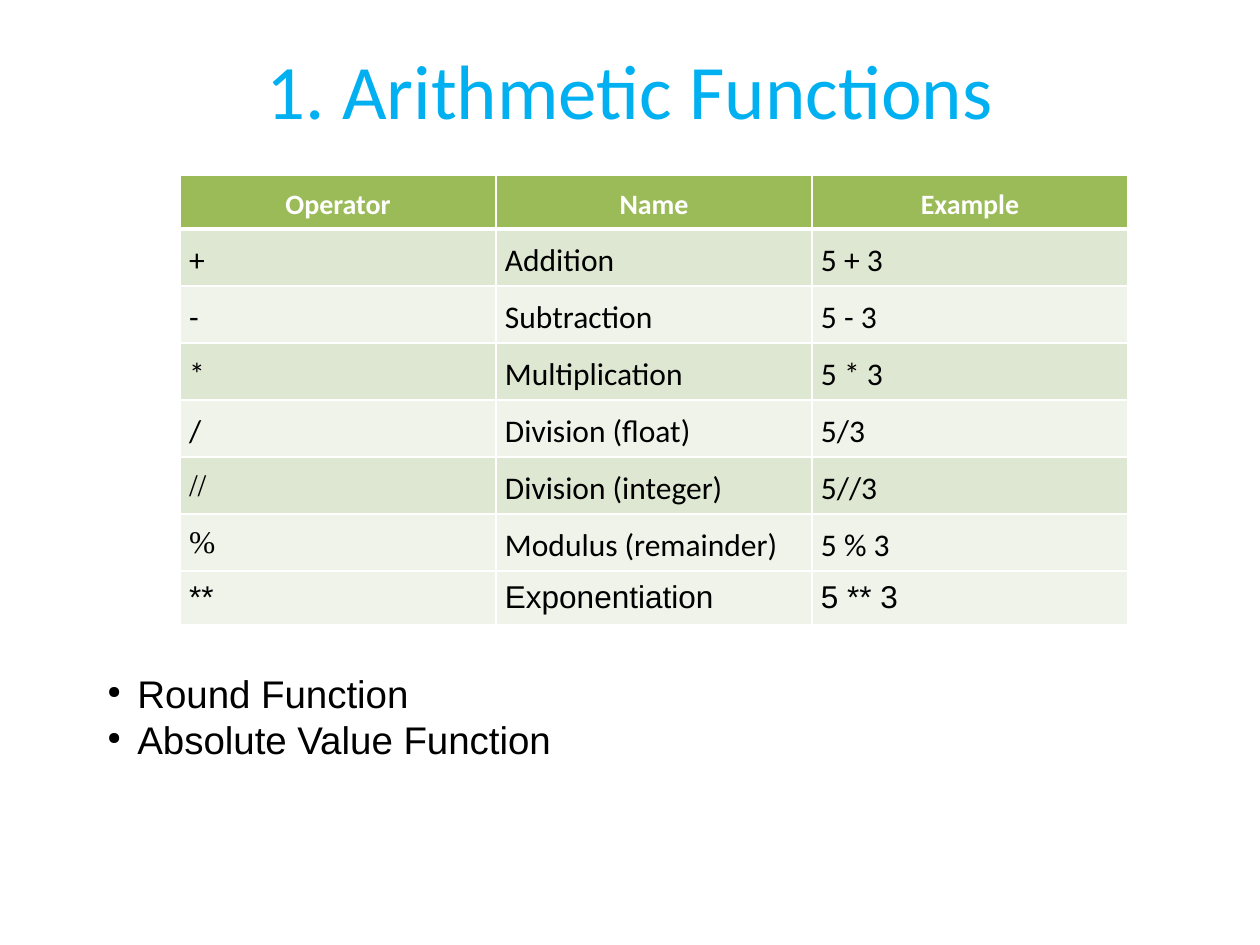
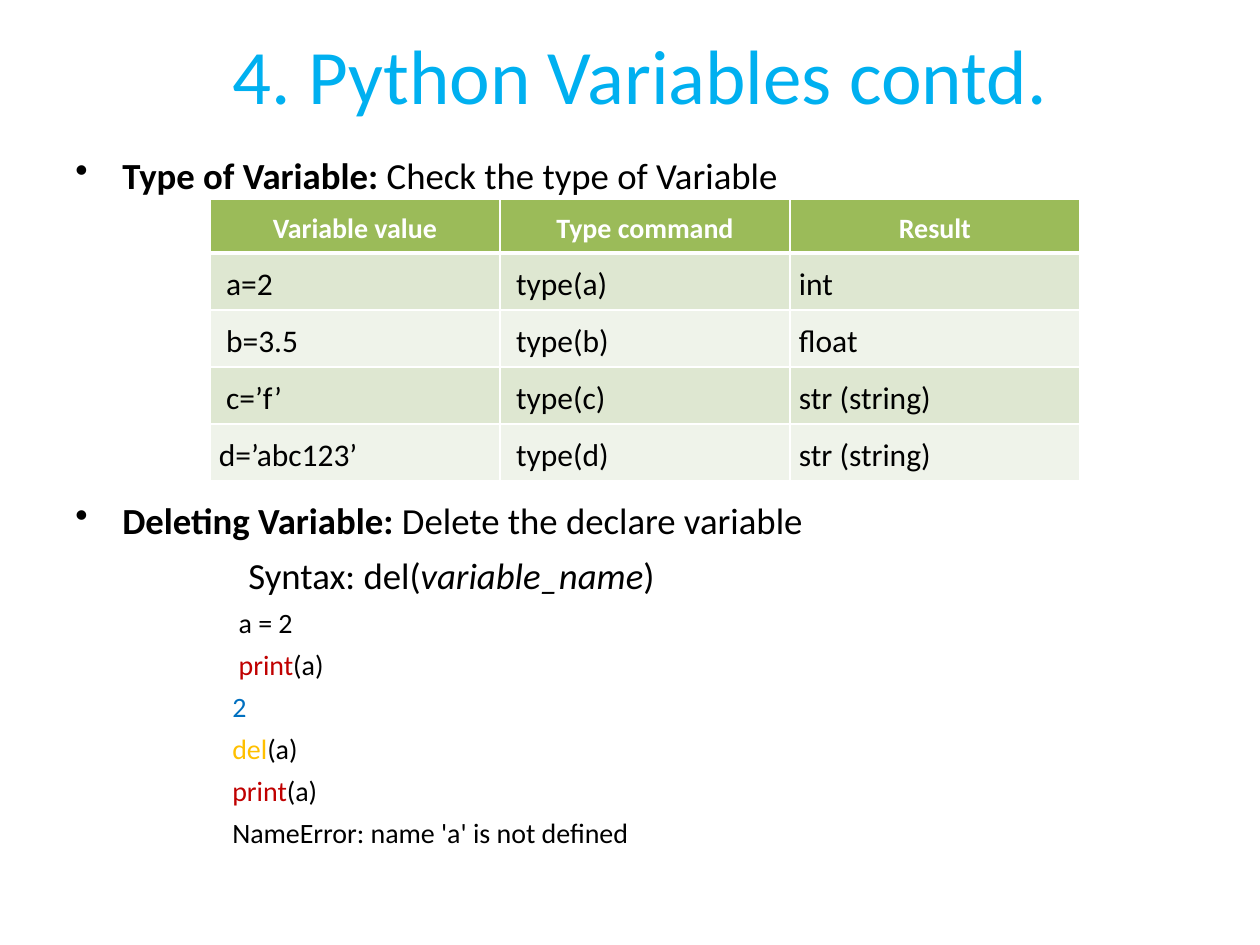
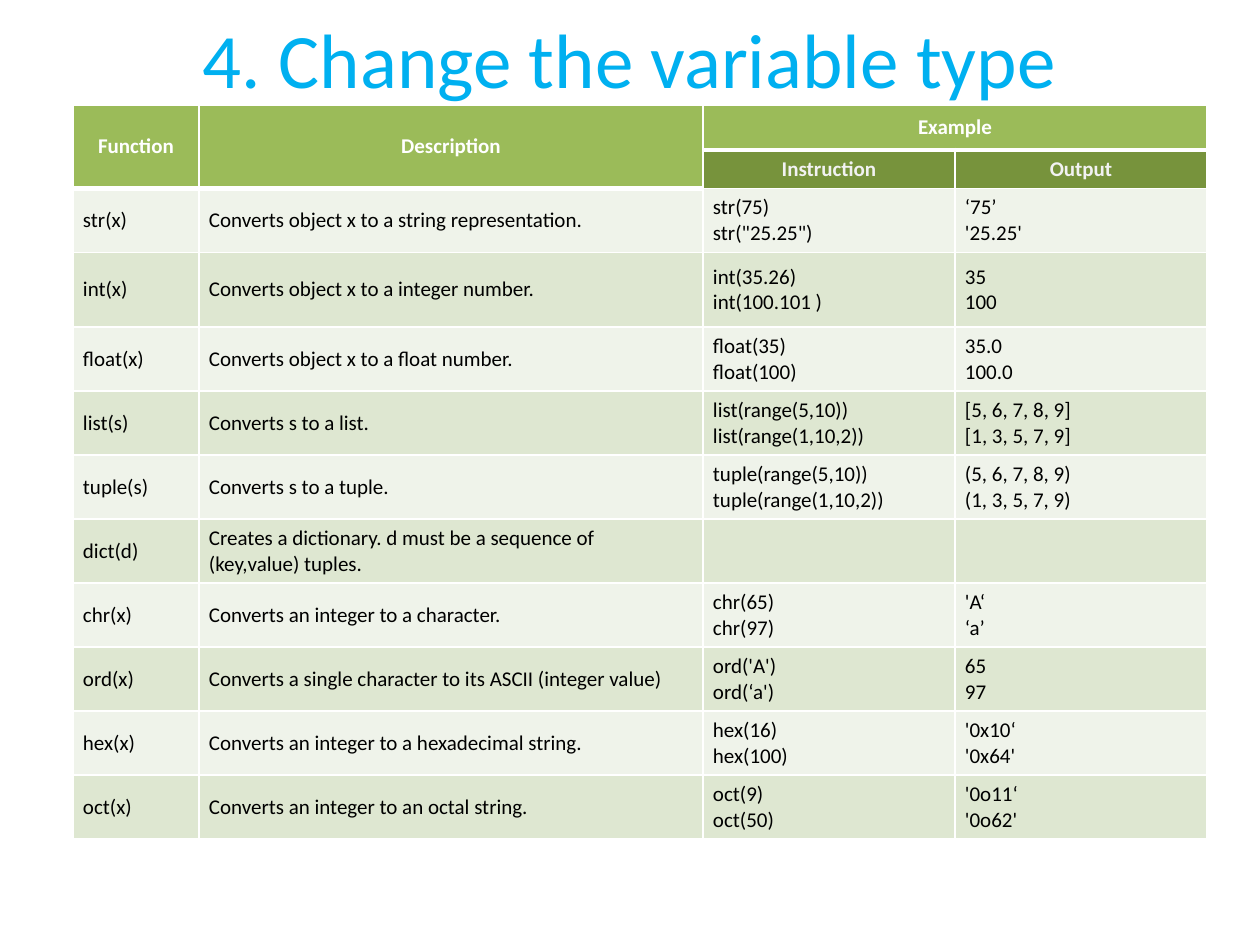
from lxml import etree
from pptx import Presentation
from pptx.dml.color import RGBColor
from pptx.enum.text import MSO_ANCHOR, PP_ALIGN
from pptx.oxml.ns import qn
from pptx.util import Pt

MID = MSO_ANCHOR.MIDDLE
CENTER = PP_ALIGN.CENTER
LEFT = PP_ALIGN.LEFT

SCALE = 914400 / 126
SANS, ARIAL, TIMES = "Calibri", "Arial", "Times New Roman"
SKY = RGBColor(0x00, 0xB0, 0xF0)
GREEN = RGBColor(0x9B, 0xBB, 0x59)
OLIVE = RGBColor(0x77, 0x93, 0x3C)
SAGE = RGBColor(0xDE, 0xE7, 0xD1)
MIST = RGBColor(0xEF, 0xF3, 0xEA)
WHITE = RGBColor(0xFF, 0xFF, 0xFF)
PALE = RGBColor(0xF2, 0xF2, 0xF2)
BLACK = RGBColor(0x00, 0x00, 0x00)
RED = RGBColor(0xC0, 0x00, 0x00)
BLUE = RGBColor(0x00, 0x70, 0xC0)
GOLD = RGBColor(0xFF, 0xC0, 0x00)
THIN, THICK = Pt(0.96), Pt(3)

OPERATORS = [
    ("Operator", "Name", "Example"),
    ("+", "Addition", "5 + 3"),
    ("-", "Subtraction", "5 - 3"),
    ("*", "Multiplication", "5 * 3"),
    ("/", "Division (float)", "5/3"),
    ("//", "Division (integer)", "5//3"),
    ("%", "Modulus (remainder)", "5 % 3"),
    ("**", "Exponentiation", "5 ** 3"),
]
TYPES = [
    ("Variable value", "Type command", "Result"),
    (" a=2", " type(a)", "int"),
    (" b=3.5", " type(b)", "float"),
    (" c=’f’", " type(c)", "str (string)"),
    ("d=’abc123’", " type(d)", "str (string)"),
]
CASTS = [
    ("Function", "Description", "Example", ""),
    ("", "", "Instruction", "Output"),
    ("str(x)", "Converts object x to a string representation.",
     "str(75)\nstr(\"25.25\")", "‘75’\n'25.25'"),
    ("int(x)", "Converts object x to a integer number.",
     "int(35.26)\nint(100.101 )", "35\n100"),
    ("float(x)", "Converts object x to a float number.",
     "float(35)\nfloat(100)", "35.0\n100.0"),
    ("list(s)", "Converts s to a list.",
     "list(range(5,10))\nlist(range(1,10,2))", "[5, 6, 7, 8, 9]\n[1, 3, 5, 7, 9]"),
    ("tuple(s)", "Converts s to a tuple.",
     "tuple(range(5,10))\ntuple(range(1,10,2))", "(5, 6, 7, 8, 9)\n(1, 3, 5, 7, 9)"),
    ("dict(d)", "Creates a dictionary. d must be a sequence of  (key,value) tuples.",
     "", ""),
    ("chr(x)", "Converts an integer to a character.",
     "chr(65)\nchr(97)", "'A‘\n‘a’"),
    ("ord(x)", "Converts a single character to its ASCII (integer value)",
     "ord('A')\nord(‘a')", "65\n97"),
    ("hex(x)", "Converts an integer to a hexadecimal string.",
     "hex(16)\nhex(100)", "'0x10‘\n'0x64'"),
    ("oct(x)", "Converts an integer to an octal string.",
     "oct(9)\noct(50)", "'0o11‘\n'0o62'"),
]
CODE = [
    [(" a = 2", BLACK)],
    [(" ", BLACK), ("print", RED), ("(a)", BLACK)],
    [("2", BLUE)],
    [("del", GOLD), ("(a)", BLACK)],
    [("print", RED), ("(a)", BLACK)],
    [("NameError: name 'a' is not defined", BLACK)],
]


def px(n):
    return round(n * SCALE)


def style(para, size, color=BLACK, face=SANS, bold=False):
    font = para.font
    font.size, font.name, font.bold = Pt(size), face, bold
    font.color.rgb = color


def add_slide(deck, title, left, top, width, height):
    slide = deck.slides.add_slide(deck.slide_layouts[5])
    head = slide.shapes.title
    head.left, head.top = px(left), px(top)
    head.width, head.height = px(width), px(height)
    frame = head.text_frame
    frame.text = title
    frame.vertical_anchor = MID
    para = frame.paragraphs[0]
    para.alignment = CENTER
    style(para, 44, SKY)
    return slide


def add_box(slide, left, top, width, height):
    box = slide.shapes.add_textbox(px(left), px(top), px(width), px(height))
    box.text_frame.word_wrap = True
    return box.text_frame


def add_para(frame, size, face=SANS, before=0.0, indent=0, hang=0):
    para = frame.paragraphs[0]
    if para.runs:
        para = frame.add_paragraph()
    style(para, size, face=face)
    para.space_before = Pt(before)
    props = para._p.get_or_add_pPr()
    props.set("marL", str(px(indent)))
    props.set("indent", str(-px(hang)))
    return para


def add_run(para, text):
    run = para.add_run()
    run.text = text
    return run.font


def add_bullet(para, mark, percent=100):
    props = para._p.get_or_add_pPr()
    size = etree.Element(qn("a:buSzPct"), val=str(percent * 1000))
    char = etree.Element(qn("a:buChar"), char=mark)
    for part in (size, char):
        props.insert(props.index(props.find(qn("a:defRPr"))), part)


def set_edges(cell, widths):
    """Draw white cell borders; widths maps L, R, T or B to a line width."""
    props = cell._tc.get_or_add_tcPr()
    for spot, (side, width) in enumerate(widths.items()):
        line = etree.Element(qn("a:ln" + side), w=str(width))
        fill = etree.SubElement(line, qn("a:solidFill"))
        etree.SubElement(fill, qn("a:srgbClr"), val=str(WHITE))
        props.insert(spot, line)


def set_fill(cell, color):
    cell.fill.solid()
    cell.fill.fore_color.rgb = color


def fill_cell(cell, text, color, ink, size, bold, space, pad):
    cell.text = text
    cell.vertical_anchor = MID
    cell.margin_left = cell.margin_right = px(pad)
    set_fill(cell, color)
    for para in cell.text_frame.paragraphs:
        style(para, size, ink, bold=bold)
        para.alignment = CENTER if bold else LEFT
        para.line_spacing = space


def add_grid(slide, rows, left, top, widths, heights, sizes=(16, 18),
             space=1.15, pad=9, heads=1, bands=(SAGE, MIST)):
    """Add a banded table; sizes are the header and body text sizes."""
    shape = slide.shapes.add_table(len(rows), len(widths), px(left), px(top),
                                   px(sum(widths)), px(sum(heights)))
    table = shape.table
    table.first_row = table.horz_banding = False
    for col, width in zip(table.columns, widths):
        col.width = px(width)
    for r, (row, height) in enumerate(zip(rows, heights)):
        table.rows[r].height = px(height)
        top_row = r < heads
        color = GREEN if top_row else bands[(r - heads) % 2]
        for c, text in enumerate(row):
            cell = table.cell(r, c)
            fill_cell(cell, text, color, WHITE if top_row else BLACK,
                      sizes[0 if top_row else 1], top_row, space, pad)
            edges = {"L": THIN, "R": THIN}
            if r == 0:
                edges["T"] = THIN
            edges["B"] = THICK if top_row else THIN
            set_edges(cell, edges)
    return table


def build_math(deck):
    slide = add_slide(deck, "1. Arithmetic Functions", 63, 21, 1134, 136)
    table = add_grid(slide, OPERATORS, 180, 175, [316] * 3, [54] + [57] * 6 + [54])
    last = len(OPERATORS) - 1
    faces = {(5, 0): TIMES, (6, 0): TIMES}
    for c in range(3):
        faces[last, c] = ARIAL
        set_fill(table.cell(last, c), MIST)
    for (r, c), face in faces.items():
        para = table.cell(r, c).text_frame.paragraphs[0]
        para.font.name = face
        para.line_spacing = 1.0
    frame = add_box(slide, 95, 664, 945, 252)
    for text in ("Round Function", "Absolute Value Function"):
        para = add_para(frame, 22, ARIAL, indent=30, hang=30)
        add_run(para, text)
        add_bullet(para, "●", 45)


def build_types(deck):
    slide = add_slide(deck, "4. Python Variables contd.", 73, 0, 1134, 147)
    frame = add_box(slide, 63, 147, 1134, 798)
    for lead, rest, gap in (
            ("Type of Variable:", " Check the type of Variable", 0),
            ("Deleting Variable:", " Delete the declare variable", 171.5)):
        para = add_para(frame, 21, before=gap, indent=47, hang=47)
        add_run(para, lead).bold = True
        add_run(para, rest)
        add_bullet(para, "•")
    para = add_para(frame, 21, before=6.4, indent=173)
    add_run(para, "Syntax: del(")
    add_run(para, "variable_name").italic = True
    add_run(para, ")")
    for line in CODE:
        para = add_para(frame, 16, before=4.8, indent=157)
        for text, color in line:
            add_run(para, text).color.rgb = color
    add_grid(slide, TYPES, 210, 199, [290] * 3, [54] + [57] * 4)


def build_casts(deck):
    slide = add_slide(deck, "4. Change the variable type", 63, 0, 1134, 116)
    table = add_grid(slide, CASTS, 73, 105, [126, 504, 252, 252],
                     [45, 38, 64, 75] + [64] * 8, sizes=(12, 12),
                     space=1.0, pad=10, heads=2, bands=(MIST, SAGE))
    for c in (0, 1):
        table.cell(0, c).merge(table.cell(1, c))
    table.cell(0, 2).merge(table.cell(0, 3))
    for c in (2, 3):
        cell = table.cell(1, c)
        set_fill(cell, OLIVE)
        cell.text_frame.paragraphs[0].font.color.rgb = PALE
        cell._tc.tcPr.find(qn("a:lnB")).set("w", str(THIN))


def main():
    deck = Presentation()
    deck.slide_width, deck.slide_height = px(1260), px(945)
    build_math(deck)
    build_types(deck)
    build_casts(deck)
    deck.save("out.pptx")


if __name__ == "__main__":
    main()
